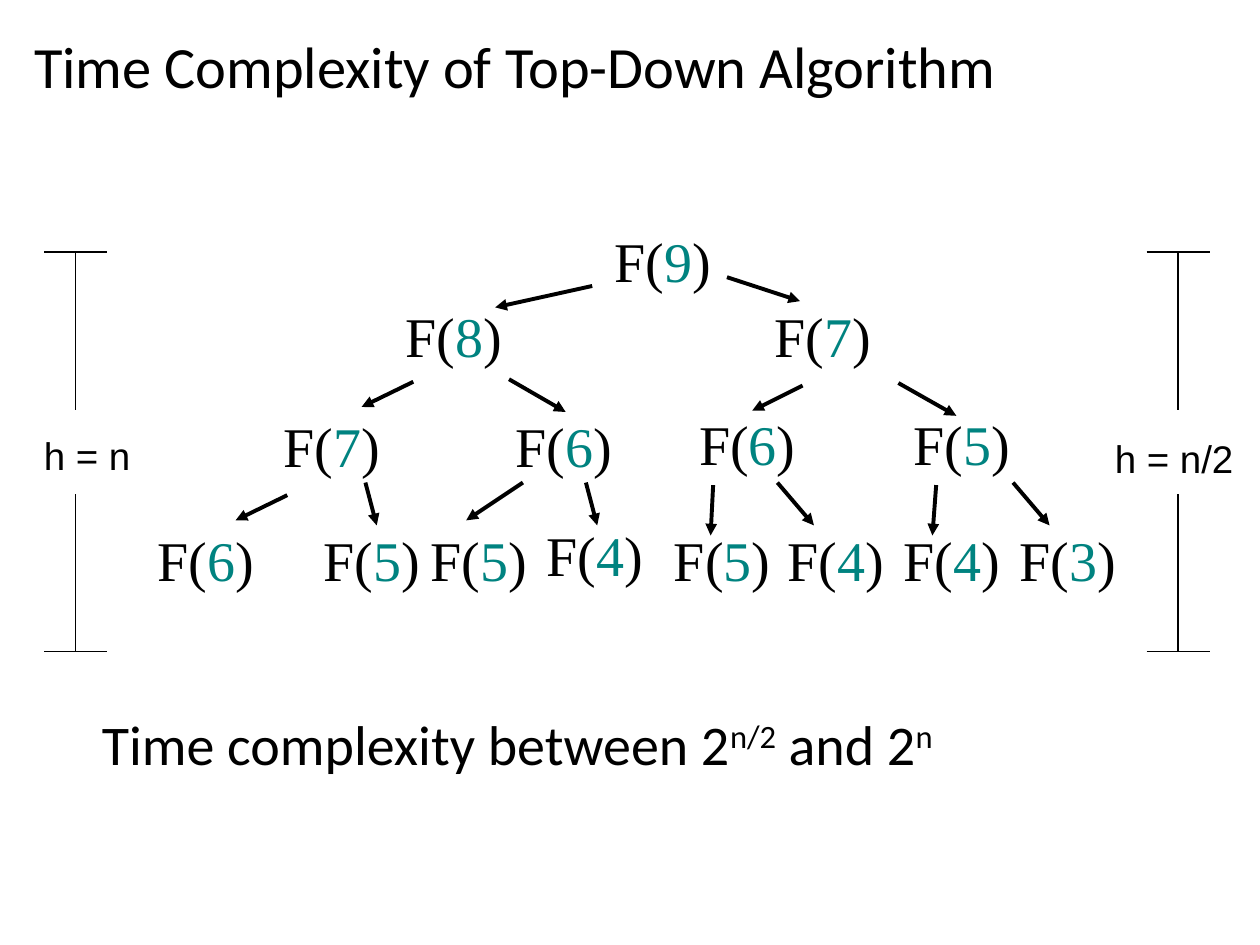
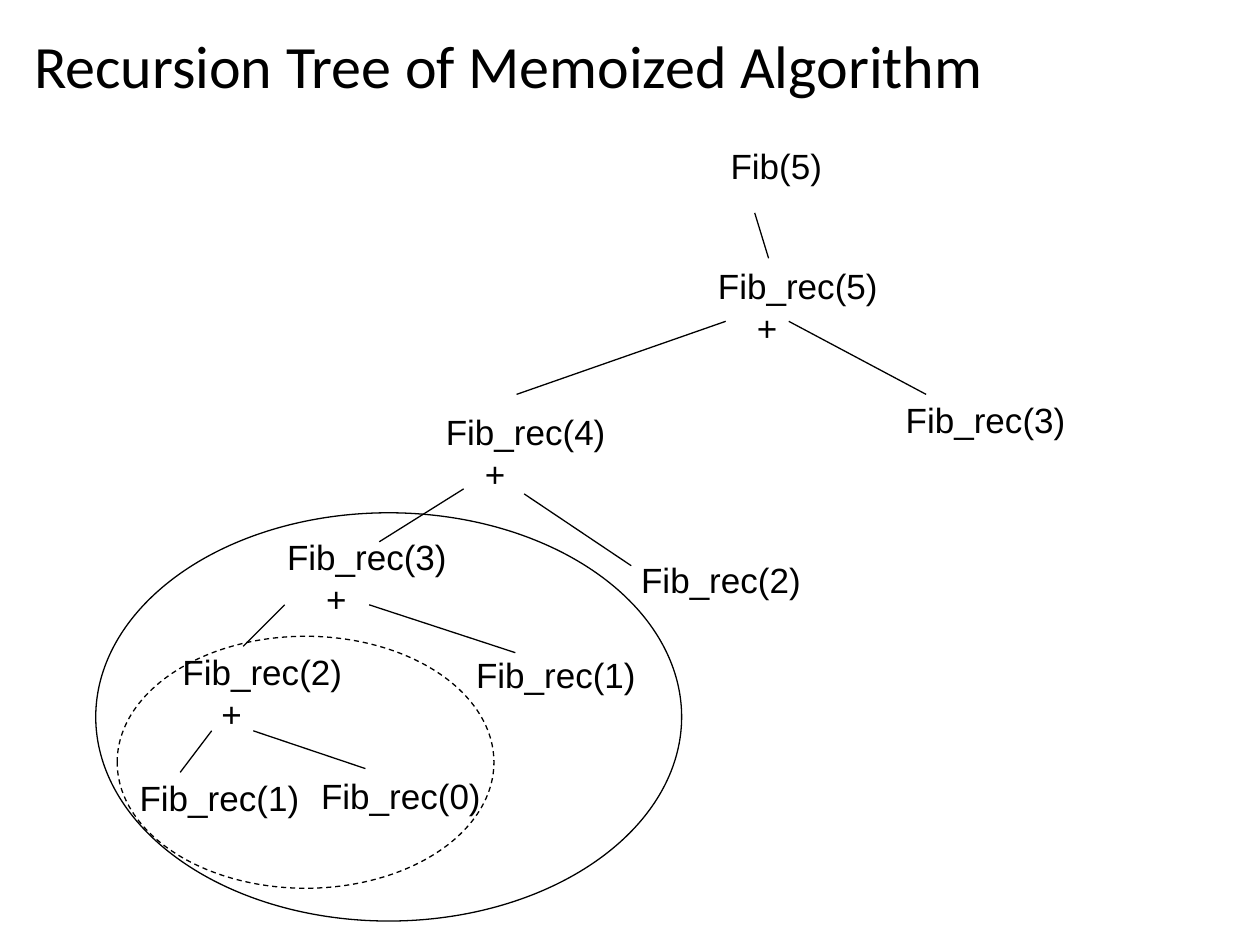
from dataclasses import dataclass

from lxml.etree import SubElement
from pptx import Presentation
from pptx.dml.color import RGBColor
from pptx.enum.dml import MSO_LINE_DASH_STYLE as DASH
from pptx.enum.shapes import MSO_CONNECTOR as CONNECTOR, MSO_SHAPE as SHAPE
from pptx.enum.text import MSO_ANCHOR as ANCHOR, MSO_AUTO_SIZE as AUTO_SIZE, PP_ALIGN as ALIGN
from pptx.oxml.ns import qn
from pptx.util import Inches, Pt

COLORS = {"ink": "000000", "argument": "008380", "paper": "FFFFFF"}
SANS, SERIF, HEADING = "Arial", "Times New Roman", "Calibri"

# The slide is a grid of 100 columns and 75 rows
WIDTH, HEIGHT = Inches(10), Inches(7.5)
COL, ROW = WIDTH / 100, HEIGHT / 75


@dataclass
class Box:
    """A region of the slide, in columns and rows."""
    left: float
    top: float
    width: float
    height: float

    def point(self, col, row):
        return round((self.left + col) * COL), round((self.top + row) * ROW)

    def area(self, col, row, width, height):
        return *self.point(col, row), round(width * COL), round(height * ROW)


TITLE = Box(1.7, 1.8, 96.2, 7.4)
CALLS = Box(10, 15, 82, 35)
LEFT_BRACKET = Box(3.5, 20, 5, 31.7)
RIGHT_BRACKET = Box(91, 20, 5, 31.7)
CONCLUSION = Box(7.1, 55.8, 83.4, 6.3)
RECURSION = Box(5, 10, 90, 64)


def rgb(name):
    return RGBColor.from_string(COLORS[name])


# Shared parts
def add_run(paragraph, text, font, size, color="ink", baseline=0):
    run = paragraph.add_run()
    run.text = text
    run.font.name, run.font.size = font, Pt(size)
    run.font.color.rgb = rgb(color)
    if baseline:
        run._r.get_or_add_rPr().set("baseline", str(baseline * 1000))


def add_label(shapes, area, wrap=False):
    frame = shapes.add_textbox(*area).text_frame
    frame.word_wrap = wrap
    frame.auto_size = AUTO_SIZE.SHAPE_TO_FIT_TEXT
    return frame


def add_line(shapes, start, end, weight=0.75, arrow=False):
    line = shapes.add_connector(CONNECTOR.STRAIGHT, *start, *end)
    line.line.color.rgb = rgb("ink")
    line.line.width = Pt(weight)
    if arrow:
        SubElement(line.line._get_or_add_ln(), qn("a:tailEnd"), type="triangle")
    SubElement(line._element.spPr, qn("a:effectLst"))


def add_titled_slide(deck, title, size):
    slide = deck.slides.add_slide(deck.slide_layouts[5])
    slide.background.fill.solid()
    slide.background.fill.fore_color.rgb = rgb("paper")
    heading = slide.shapes.title
    heading.left, heading.top, heading.width, heading.height = TITLE.area(
        0, 0, TITLE.width, TITLE.height)
    frame = heading.text_frame
    frame.auto_size = AUTO_SIZE.NONE
    frame.vertical_anchor = ANCHOR.MIDDLE
    paragraph = frame.paragraphs[0]
    paragraph.alignment = ALIGN.LEFT
    paragraph.line_spacing = 0.9
    add_run(paragraph, title, HEADING, size)
    return slide


# Tree of F(n) calls, level by level.
# Nodes: argument, column, row, width. Arrows: start column, start row, columns across, rows down.
WIDE, NARROW = 16.1, 11.8
CALL_LEVELS = [
    ([(9, 37.8, 2.5, 10.6), (8, 21.2, 8.4, WIDE), (7, 50.5, 8.4, 11)],
     [(37, 7.7, -7.7, 1.7), (47.7, 7, 5.8, 1.9)]),
    ([(7, 11.5, 17.2, WIDE), (6, 29.9, 17.2, NARROW),
      (6, 44.5, 17, WIDE), (5, 61.5, 17, 11.4)],
     [(22.8, 15.3, -4.1, 2), (30.4, 15.1, 4.5, 2.6),
      (53.7, 15.6, -4, 2), (61.3, 15.4, 4.6, 2.6)]),
    ([(6, 1.5, 26.2, WIDE), (5, 14.7, 26.2, NARROW),
      (5, 23.2, 26.2, NARROW), (4, 32.4, 25.8, NARROW),
      (5, 42.5, 26.2, NARROW), (4, 51.5, 26.2, NARROW),
      (4, 60.7, 26.2, NARROW), (3, 69.9, 26.2, NARROW)],
     [(12.8, 24.3, -4.1, 2), (19, 23.3, 0.9, 3.4),
      (31.5, 23.3, -4.5, 3), (36.5, 23.3, 0.9, 3.4),
      (46.6, 23.5, -0.2, 4), (51.7, 23.3, 2.9, 3.4),
      (64.3, 23.5, -0.3, 4), (70.4, 23.3, 2.9, 3.4)]),
]


def add_call_tree(slide, box):
    for nodes, arrows in CALL_LEVELS:
        level = slide.shapes.add_group_shape().shapes
        for argument, col, row, width in nodes:
            call = add_label(level, box.area(col, row, width, 6.3), wrap=True).paragraphs[0]
            call.space_before = Pt(16)
            add_run(call, "F(", SERIF, 32)
            add_run(call, str(argument), SERIF, 32, "argument")
            add_run(call, ")", SERIF, 32)
        for col, row, across, down in arrows:
            add_line(level, box.point(col, row), box.point(col + across, row + down),
                     2.25, arrow=True)


def add_height_bracket(slide, box, text, col, row, width):
    """A vertical measure with end caps, open in the middle for its label."""
    bracket = slide.shapes.add_group_shape().shapes
    middle, stem = box.width / 2, 12.5
    for end, inward in ((0, stem), (box.height, -stem)):
        add_line(bracket, box.point(0, end), box.point(box.width, end))
        add_line(bracket, box.point(middle, end), box.point(middle, end + inward))
    height = add_label(bracket, box.area(col, row, width, 4.6))
    add_run(height.paragraphs[0], text, SANS, 22)


def add_conclusion(slide, box):
    bounds = add_label(slide.shapes, box.area(0, 0, box.width, box.height)).paragraphs[0]
    for text, baseline in (("Time complexity between 2", 0), ("n/2", 30),
                           (" and 2", 0), ("n", 30)):
        add_run(bounds, text, HEADING, 32, baseline=baseline)


def build_complexity_slide(deck):
    slide = add_titled_slide(deck, "Time Complexity of Top-Down Algorithm", 33.4)
    add_call_tree(slide, CALLS)
    add_conclusion(slide, CONCLUSION)
    add_height_bracket(slide, RIGHT_BRACKET, "h = n/2", -3.5, 14, 11.4)
    add_height_bracket(slide, LEFT_BRACKET, "h = n", -1, 13.8, 8.9)


# Memoized recursion: call, column, row, and whether its two results are added
MEMOIZED_CALLS = [
    ("Fib(5)", 52, 1, False),
    ("Fib_rec(5)", 51, 10.5, True),
    ("Fib_rec(4)", 29.4, 22.1, True),
    ("Fib_rec(3)", 65.9, 21.1, False),
    ("Fib_rec(3)", 16.8, 32, True),
    ("Fib_rec(2)", 44.9, 33.8, False),
    ("Fib_rec(2)", 8.5, 41.1, True),
    ("Fib_rec(1)", 31.8, 41.4, False),
    ("Fib_rec(1)", 5.1, 51.1, False),
    ("Fib_rec(0)", 19.5, 51, False),
]
# Start and end points of the branches, from the root down
BRANCHES = [
    ((54.9, 6.9), (56, 10.5)),
    ((52.6, 15.5), (36, 21.3)), ((57.6, 15.5), (68.5, 21.3)),
    ((31.8, 28.8), (25.1, 33)), ((36.6, 29.2), (45.1, 34.9)),
    ((17.6, 38), (14.3, 41.3)), ((24.3, 38), (35.9, 41.8)),
    ((11.8, 48), (9.3, 51.3)), ((15.1, 48), (24, 51)),
]
# Rings around the subtrees: column, row, width, height, dash
SUBTREE_RINGS = [
    (4.3, 40.5, 29.9, 20, DASH.DASH),
    (2.6, 30.7, 46.5, 32.4, DASH.SOLID),
]


def add_recursion_tree(slide, box):
    shapes = slide.shapes
    for call, col, row, is_sum in MEMOIZED_CALLS:
        width = 14.7 if "rec" in call else 9.3
        frame = add_label(shapes, box.area(col, row, width, 7.6 if is_sum else 4.3))
        add_run(frame.paragraphs[0], call, SANS, 20)
        if is_sum:
            plus = frame.add_paragraph()
            plus._p.get_or_add_pPr().set("marL", str(Inches(0.31)))
            add_run(plus, "+", SANS, 20)
    for start, end in BRANCHES:
        add_line(shapes, box.point(*start), box.point(*end))
    for *area, dash in SUBTREE_RINGS:
        ring = shapes.add_shape(SHAPE.OVAL, *box.area(*area))
        ring.shadow.inherit = False
        ring.fill.background()
        ring.line.color.rgb = rgb("ink")
        ring.line.width = Pt(0.75)
        ring.line.dash_style = dash


def build_recursion_slide(deck):
    slide = add_titled_slide(deck, "Recursion Tree of Memoized Algorithm", 34.3)
    add_recursion_tree(slide, RECURSION)


def main():
    deck = Presentation()
    deck.slide_width, deck.slide_height = WIDTH, HEIGHT
    build_complexity_slide(deck)
    build_recursion_slide(deck)
    deck.save("out.pptx")


if __name__ == "__main__":
    main()
